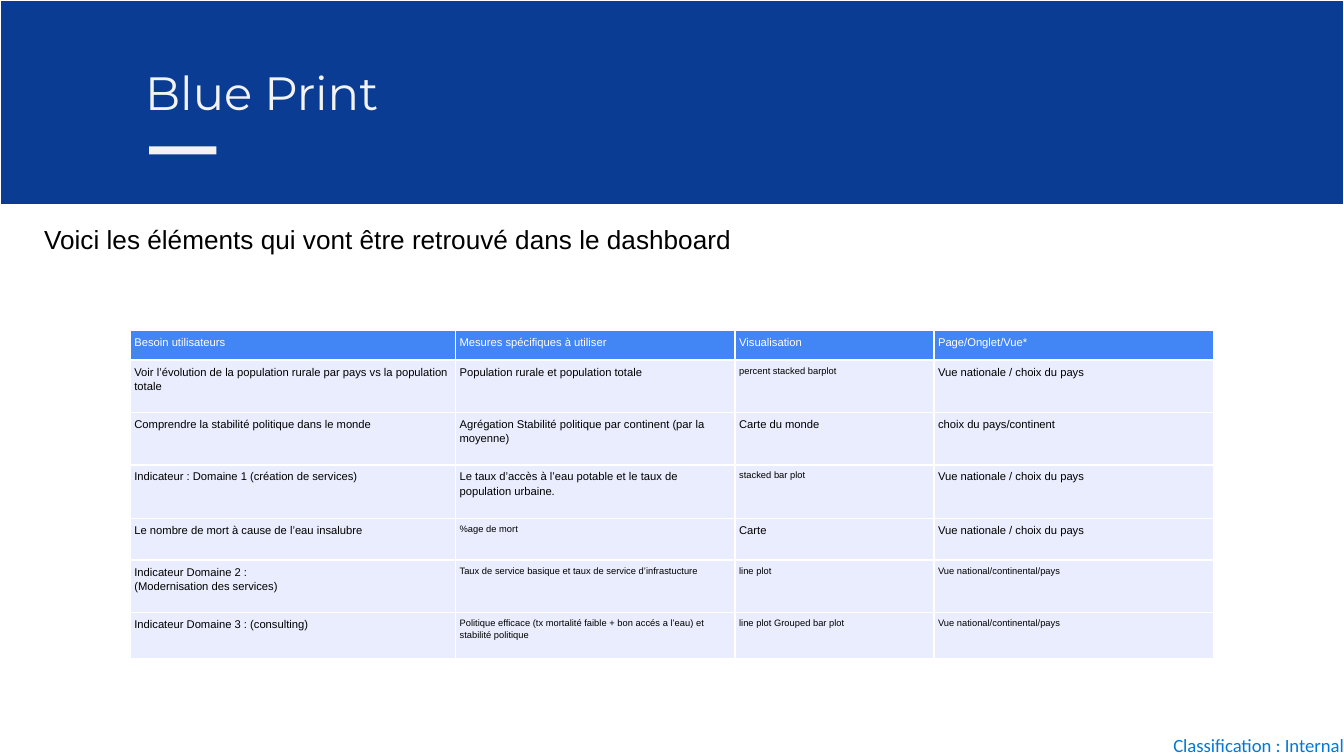
from lxml.etree import SubElement
from pptx import Presentation
from pptx.dml.color import RGBColor
from pptx.enum.shapes import MSO_SHAPE
from pptx.enum.text import MSO_ANCHOR, PP_ALIGN
from pptx.oxml.ns import qn
from pptx.util import Inches, Pt

COLORS = {
    "banner": "093C92",
    "light": "F3F3F3",
    "white": "FFFFFF",
    "black": "000000",
    "header": "4285F4",
    "cell": "E9EDFD",
    "footer": "0078D7",
}
COLUMN_WIDTHS = [2.42, 2.08, 1.48, 2.08]
ROW_HEIGHTS = [0.22, 0.39, 0.39, 0.4, 0.31, 0.39, 0.34]
ROWS = [
    ["Besoin utilisateurs", "Mesures spécifiques à utiliser", "Visualisation", "Page/Onglet/Vue*"],
    ["Voir l’évolution de la population rurale par pays vs la population totale",
     "Population rurale et population totale", "percent stacked barplot",
     "Vue nationale / choix du pays"],
    ["Comprendre la stabilité politique dans le monde",
     "Agrégation Stabilité politique par continent (par la moyenne)", "Carte du monde",
     "choix du pays/continent"],
    ["Indicateur : Domaine 1 (création de services)",
     "Le taux d’accès à l’eau potable et le taux de population urbaine.", "stacked bar plot",
     "Vue nationale / choix du pays"],
    ["Le nombre de mort à cause de l’eau insalubre", "%age de mort", "Carte",
     "Vue nationale / choix du pays"],
    ["Indicateur Domaine 2 :\n(Modernisation des services)",
     "Taux de service basique et taux de service d’infrastucture", "line plot",
     "Vue national/continental/pays"],
    ["Indicateur Domaine 3 : (consulting)",
     "Politique efficace (tx mortalité faible + bon accés a l’eau) et stabilité politique",
     "line plot Grouped bar plot", "Vue national/continental/pays"],
]
SMALL_COLUMNS = {1: [2], 3: [2], 4: [1], 5: [1, 2, 3], 6: [1, 2, 3]}
SPACED_FIRST_COLUMN_ROWS = [2, 3, 4]


def color(name):
    """Return the named palette colour."""
    return RGBColor.from_string(COLORS[name])


def set_font(paragraph, name, size, color_name):
    """Format a paragraph's font."""
    paragraph.font.name = name
    paragraph.font.size = Pt(size)
    paragraph.font.color.rgb = color(color_name)


def set_margins(target, margin):
    """Give a text frame or cell equal margins."""
    target.margin_left = target.margin_right = Inches(margin)
    target.margin_top = target.margin_bottom = Inches(margin)


def add_rectangle(slide, left, top, width, height, fill, line=None):
    """Add a flat rectangle."""
    shape = slide.shapes.add_shape(
        MSO_SHAPE.RECTANGLE, Inches(left), Inches(top), Inches(width), Inches(height))
    shape.shadow.inherit = False
    shape.fill.solid()
    shape.fill.fore_color.rgb = color(fill)
    if line:
        shape.line.color.rgb = color(line)
        shape.line.width = Pt(0.75)
    else:
        shape.line.fill.background()


def add_label(slide, left, top, width, height, text, font, size, color_name):
    """Add a single-line text box and return its text frame."""
    box = slide.shapes.add_textbox(Inches(left), Inches(top), Inches(width), Inches(height))
    frame = box.text_frame
    frame.word_wrap = False
    frame.text = text
    set_font(frame.paragraphs[0], font, size, color_name)
    return frame


def add_banner(slide, left, top, width, height):
    """Place the banner with its title and accent bar."""
    add_rectangle(slide, left, top, width, height, "banner", "white")
    title = slide.shapes.title
    title.left, title.top = Inches(left + 0.98), Inches(top + 0.37)
    title.width, title.height = Inches(9.32), Inches(0.63)
    slide.shapes.element.append(title.element)
    frame = title.text_frame
    frame.text = "Blue Print"
    frame.vertical_anchor = MSO_ANCHOR.MIDDLE
    set_margins(frame, 0.1)
    paragraph = frame.paragraphs[0]
    paragraph.alignment = PP_ALIGN.LEFT
    set_font(paragraph, "Montserrat", 25, "light")
    add_rectangle(slide, left + 1.11, top + 1.09, 0.5, 0.06, "light")


def set_borders(cell):
    """Draw white one-point borders around a cell."""
    properties = cell._tc.get_or_add_tcPr()
    for index, side in enumerate(("lnL", "lnR", "lnT", "lnB")):
        line = properties.makeelement(qn(f"a:{side}"), {"w": str(Pt(1))})
        fill = SubElement(line, qn("a:solidFill"))
        SubElement(fill, qn("a:srgbClr"), val=COLORS["white"])
        properties.insert(index, line)


def format_cell(cell, text, size, font_color, fill, spaced):
    """Fill and format one table cell."""
    cell.text = text
    set_margins(cell, 0.03)
    cell.fill.solid()
    cell.fill.fore_color.rgb = color(fill)
    set_borders(cell)
    for paragraph in cell.text_frame.paragraphs:
        paragraph.line_spacing = 1.15
        if spaced:
            paragraph.space_before = Pt(8)
        set_font(paragraph, "Arial", size, font_color)


def add_blueprint_table(slide, left, top):
    """Place the table of dashboard elements."""
    table = slide.shapes.add_table(
        len(ROWS), len(COLUMN_WIDTHS), Inches(left), Inches(top),
        Inches(sum(COLUMN_WIDTHS)), Inches(sum(ROW_HEIGHTS))).table
    for column, width in zip(table.columns, COLUMN_WIDTHS):
        column.width = Inches(width)
    for row_index, texts in enumerate(ROWS):
        table.rows[row_index].height = Inches(ROW_HEIGHTS[row_index])
        font_color, fill = ("black", "cell") if row_index else ("white", "header")
        for column_index, text in enumerate(texts):
            size = 5 if column_index in SMALL_COLUMNS.get(row_index, []) else 6
            spaced = row_index > 0 and (
                column_index > 0 or row_index in SPACED_FIRST_COLUMN_ROWS)
            format_cell(table.cell(row_index, column_index), text, size,
                        font_color, fill, spaced)


def main():
    """Build and save the slide."""
    presentation = Presentation()
    presentation.slide_width = Inches(10)
    presentation.slide_height = presentation.slide_width * 9 // 16
    slide = presentation.slides.add_slide(presentation.slide_layouts[5])
    footer = add_label(slide, 8.73, 5.46, 1.31, 0.17, "Classification : Internal",
                       "Calibri", 10, "footer")
    set_margins(footer, 0)
    add_banner(slide, 0, 0, 10, 1.52)
    add_label(slide, 0.23, 1.61, 5.41, 0.34,
              "Voici les éléments qui vont être retrouvé dans le dashboard",
              "Arial", 14, "black")
    add_blueprint_table(slide, 0.97, 2.46)
    presentation.save("out.pptx")


if __name__ == "__main__":
    main()
